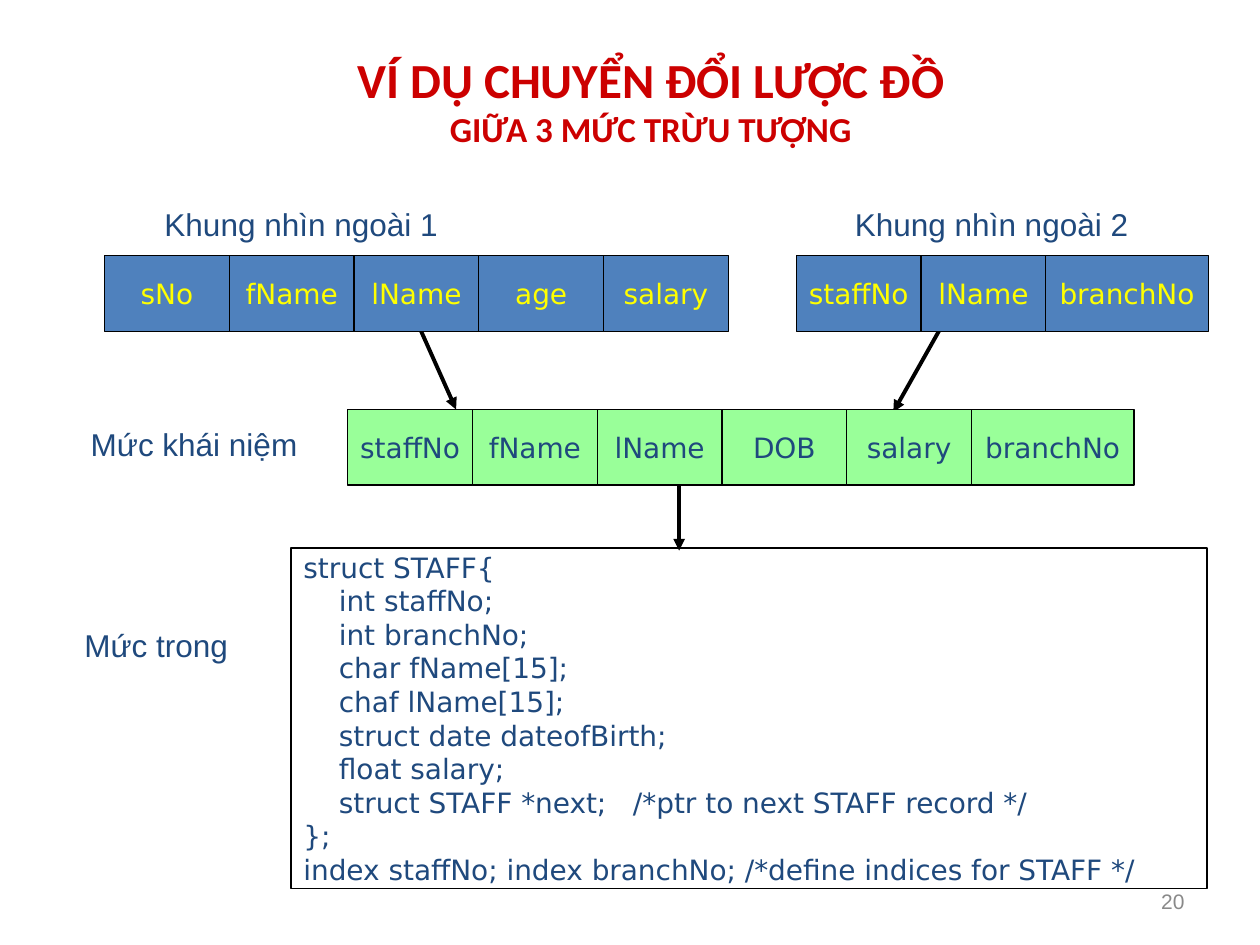
import pptx
import pptx.dml.color
import pptx.enum.shapes
import pptx.enum.text
import pptx.util
from lxml import etree
from pptx.oxml.ns import qn
from pptx.util import Inches

COLORS = {
    "title": "CC0000",
    "text": "1F497D",
    "external": "4F81BD",
    "external_text": "FFFF00",
    "conceptual": "99FF99",
    "line": "000000",
    "number": "898989",
}
ALIGN = pptx.enum.text.PP_ALIGN
MIDDLE = pptx.enum.text.MSO_ANCHOR.MIDDLE
RECTANGLE = pptx.enum.shapes.MSO_SHAPE.RECTANGLE
STRAIGHT = pptx.enum.shapes.MSO_CONNECTOR.STRAIGHT


def rgb(name):
    return pptx.dml.color.RGBColor.from_string(COLORS[name])


def write(box, text, size=16, font="DejaVu Sans", color="text", bold=False,
          align=ALIGN.CENTER, wrap=False):
    """Fill a box with one paragraph per line; \\v breaks a line within one."""
    frame = box.text_frame
    frame.text = text
    frame.word_wrap = wrap
    frame.auto_size = pptx.enum.text.MSO_AUTO_SIZE.NONE
    frame.vertical_anchor = MIDDLE
    for para in frame.paragraphs:
        para.alignment = align
        for span in para.runs:
            span.font.size = pptx.util.Pt(size)
            span.font.name = font
            span.font.bold = bold
            span.font.color.rgb = rgb(color)


deck = pptx.Presentation()
deck.slide_width, deck.slide_height = Inches(10), Inches(7.5)
page = deck.slides.add_slide(deck.slide_layouts[5])
shapes = page.shapes

title = shapes.title
title.left, title.top = Inches(0.33), Inches(0)
title.width, title.height = Inches(9.67), Inches(1.58)
write(title, "VÍ DỤ CHUYỂN ĐỔI LƯỢC ĐỒ\vGIỮA 3 MỨC TRỪU TƯỢNG",
      size=28, font="Calibri", color="title", bold=True, wrap=True)
title.text_frame.paragraphs[0].runs[1].font.size = pptx.util.Pt(20)

# Mappings between the levels
for x1, y1, x2, y2 in [
    (5.39, 3.67, 5.39, 4.37),
    (7.71, 2.17, 7.09, 3.27),
    (3.2, 2.31, 3.62, 3.25),
]:
    arrow = shapes.add_connector(
        STRAIGHT, Inches(x1), Inches(y1), Inches(x2), Inches(y2))
    arrow.line.color.rgb = rgb("line")
    arrow.line.width = pptx.util.Pt(2.25)
    etree.SubElement(arrow.line._get_or_add_ln(), qn("a:tailEnd"), type="triangle")
    etree.SubElement(arrow._element.spPr, qn("a:effectLst"))

# Level names
for text, left, top in [
    ("Khung nhìn ngoài 1", 1.4, 1.58),
    ("Khung nhìn ngoài 2", 6.88, 1.58),
    ("Mức khái niệm", 0.55, 3.32),
    ("Mức trong", 0.25, 4.92),
]:
    label = shapes.add_textbox(Inches(left), Inches(top), Inches(1.98), Inches(0.4))
    write(label, text, size=18, font="Arial")

# Internal level
code = """struct STAFF{
    int staffNo;
    int branchNo;
    char fName[15];
    chaf lName[15];
    struct date dateofBirth;
    float salary;
    struct STAFF *next;   /*ptr to next STAFF record */
};
index staffNo; index branchNo; /*define indices for STAFF */"""
code_box = shapes.add_shape(
    RECTANGLE, Inches(2.31), Inches(4.35), Inches(7.27), Inches(2.7))
code_box.shadow.inherit = False
code_box.fill.background()
code_box.line.color.rgb = rgb("line")
code_box.line.width = pptx.util.Pt(0.75)
write(code_box, code, align=ALIGN.LEFT)

# Field rows of the external views and the conceptual level
for fields, left, top, fill, color in [
    (["sNo", "fName", "lName", "age", "salary"],
     0.83, 2.03, "external", "external_text"),
    (["staffNo", "lName", "branchNo"],
     6.32, 2.03, "external", "external_text"),
    (["staffNo", "fName", "lName", "DOB", "salary", "branchNo"],
     2.76, 3.25, "conceptual", "text"),
]:
    for field in fields:
        width = 1.29 if field == "branchNo" else 0.99
        cell = shapes.add_shape(
            RECTANGLE, Inches(left), Inches(top), Inches(width), Inches(0.6))
        cell.shadow.inherit = False
        cell.fill.solid()
        cell.fill.fore_color.rgb = rgb(fill)
        cell.line.color.rgb = rgb("line")
        cell.line.width = pptx.util.Pt(0.75)
        write(cell, field, color=color)
        left += width

number = shapes.add_textbox(Inches(7.17), Inches(6.95), Inches(2.33), Inches(0.4))
write(number, "20", size=12, font="Arial", color="number",
      align=ALIGN.RIGHT, wrap=True)

deck.save("out.pptx")
